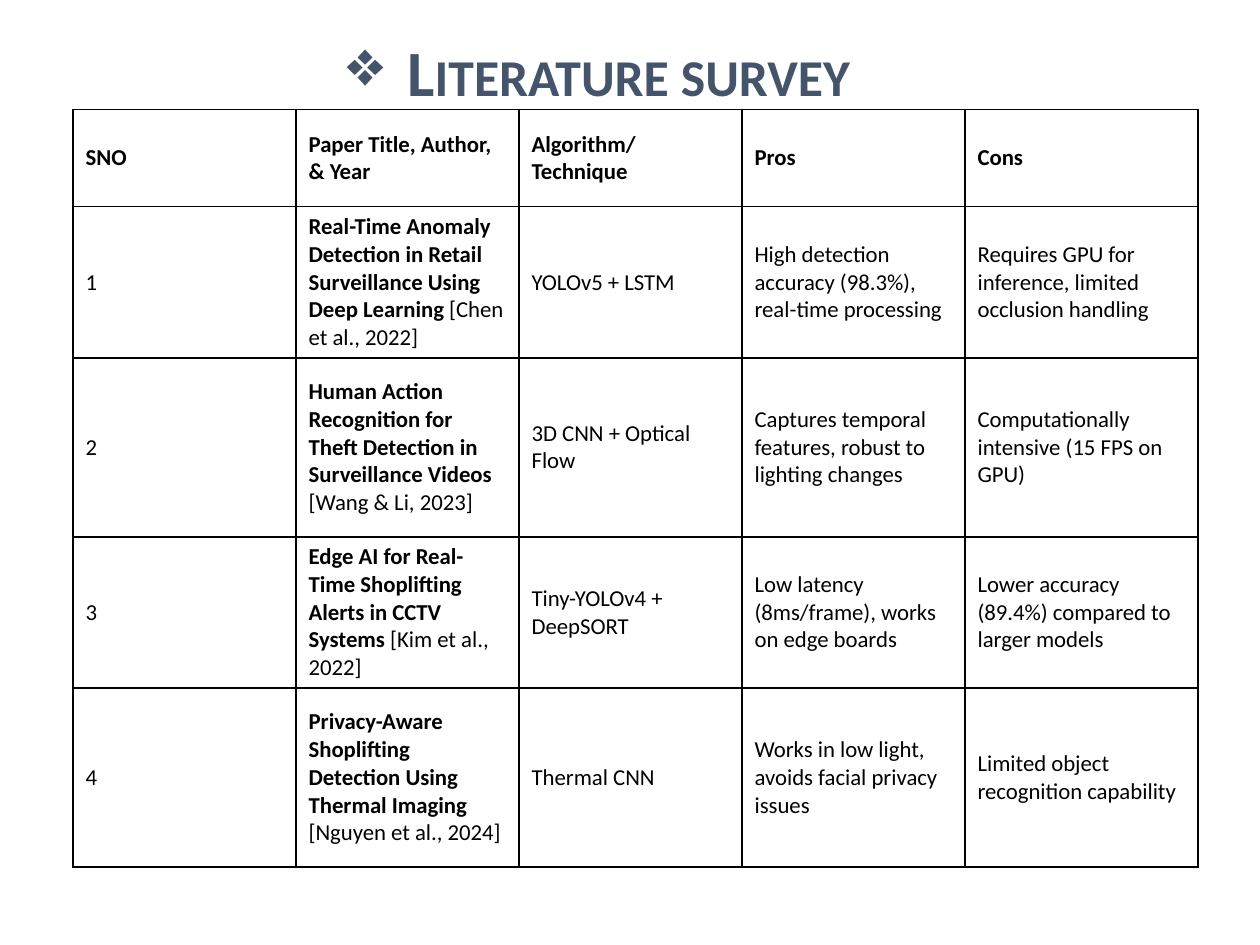
"""Build the literature survey slide with its table of four papers."""
from lxml import etree
from pptx import Presentation
from pptx.dml.color import RGBColor
from pptx.enum.text import MSO_ANCHOR, PP_ALIGN
from pptx.oxml.ns import qn
from pptx.util import Inches, Pt

MIDDLE = MSO_ANCHOR.MIDDLE
CENTER = PP_ALIGN.CENTER
FONT = "Calibri"
COLORS = {"title": "44546A", "ink": "000000", "paper": "FFFFFF"}
COLUMN_WIDTHS = [1.77, 1.77, 1.77, 1.77, 1.85]
ROW_HEIGHTS = [0.77, 1.2, 1.42, 1.2, 1.42]
HEADERS = ["SNO", "Paper Title, Author, & Year", "Algorithm/Technique", "Pros", "Cons"]
PAPERS = [
    ("Real-Time Anomaly Detection in Retail Surveillance Using Deep Learning",
     " [Chen et al., 2022]", "YOLOv5 + LSTM",
     "High detection accuracy (98.3%), real-time processing",
     "Requires GPU for inference, limited occlusion handling"),
    ("Human Action Recognition for Theft Detection in Surveillance Videos",
     " [Wang & Li, 2023]", "3D CNN + Optical Flow",
     "Captures temporal features, robust to lighting changes",
     "Computationally intensive (15 FPS on GPU)"),
    ("Edge AI for Real-Time Shoplifting Alerts in CCTV Systems",
     " [Kim et al., 2022]", "Tiny-YOLOv4 + DeepSORT",
     "Low latency (8ms/frame), works on edge boards",
     "Lower accuracy (89.4%) compared to larger models"),
    ("Privacy-Aware Shoplifting Detection Using Thermal Imaging",
     " [Nguyen et al., 2024]", "Thermal CNN",
     "Works in low light, avoids facial privacy issues",
     "Limited object recognition capability"),
]


def style_span(span, size, color, bold):
    span.font.name = FONT
    span.font.size = Pt(size)
    span.font.bold = bold
    span.font.color.rgb = RGBColor.from_string(COLORS[color])


def style_cell(cell):
    cell.vertical_anchor = MIDDLE
    properties = cell._tc.get_or_add_tcPr()
    for side in ("a:lnL", "a:lnR", "a:lnT", "a:lnB"):
        line = etree.SubElement(properties, qn(side), w=str(Pt(1)))
        fill = etree.SubElement(line, qn("a:solidFill"))
        etree.SubElement(fill, qn("a:srgbClr"), val=COLORS["ink"])
    cell.fill.solid()
    cell.fill.fore_color.rgb = RGBColor.from_string(COLORS["paper"])


deck = Presentation()
deck.slide_width = Inches(10)
deck.slide_height = Inches(7.5)
page = deck.slides.add_slide(deck.slide_layouts[5])

title = page.shapes.title
title.left, title.top = Inches(0.25), Inches(0.25)
title.width, title.height = Inches(9), Inches(0.62)
title.text_frame.text = "Literature survey"
title.text_frame.vertical_anchor = MIDDLE
para = title.text_frame.paragraphs[0]
para.alignment = CENTER
para_properties = para._p.get_or_add_pPr()
para_properties.set("marL", str(Inches(0.48)))
para_properties.set("indent", str(-Inches(0.48)))
etree.SubElement(para_properties, qn("a:buChar"), char="❖")
style_span(para.runs[0], 36.9, "title", True)
para.runs[0].font._element.set("cap", "small")

rows = [[[(header, True)] for header in HEADERS]]
for number, (name, citation, technique, pros, cons) in enumerate(PAPERS, 1):
    rows.append([[(str(number), False)], [(name, True), (citation, False)],
                 [(technique, False)], [(pros, False)], [(cons, False)]])

table = page.shapes.add_table(
    len(rows), len(HEADERS), Inches(0.58), Inches(0.87),
    Inches(sum(COLUMN_WIDTHS)), Inches(sum(ROW_HEIGHTS))).table
for column, width in zip(table.columns, COLUMN_WIDTHS):
    column.width = Inches(width)
for row, height, contents in zip(table.rows, ROW_HEIGHTS, rows):
    row.height = Inches(height)
    for cell, pieces in zip(row.cells, contents):
        style_cell(cell)
        for text, bold in pieces:
            span = cell.text_frame.paragraphs[0].add_run()
            span.text = text
            style_span(span, 13, "ink", bold)

deck.save("out.pptx")
